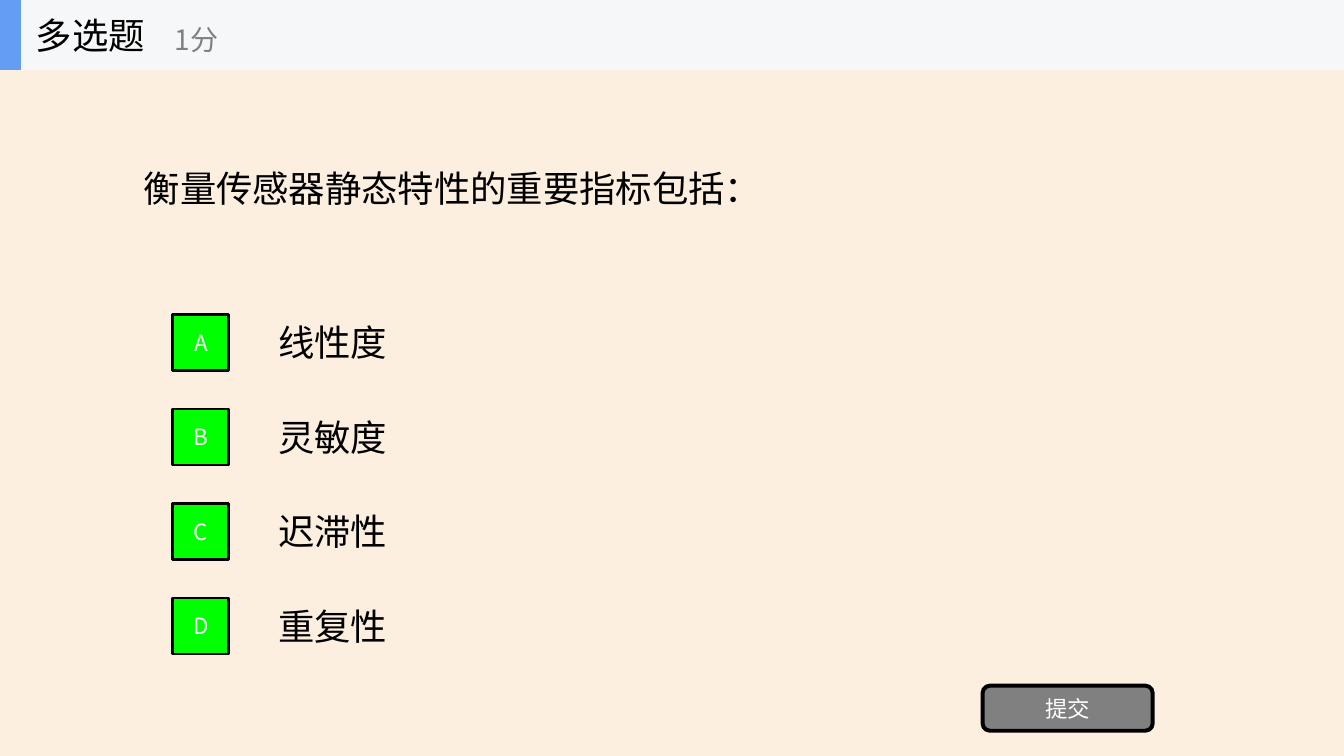
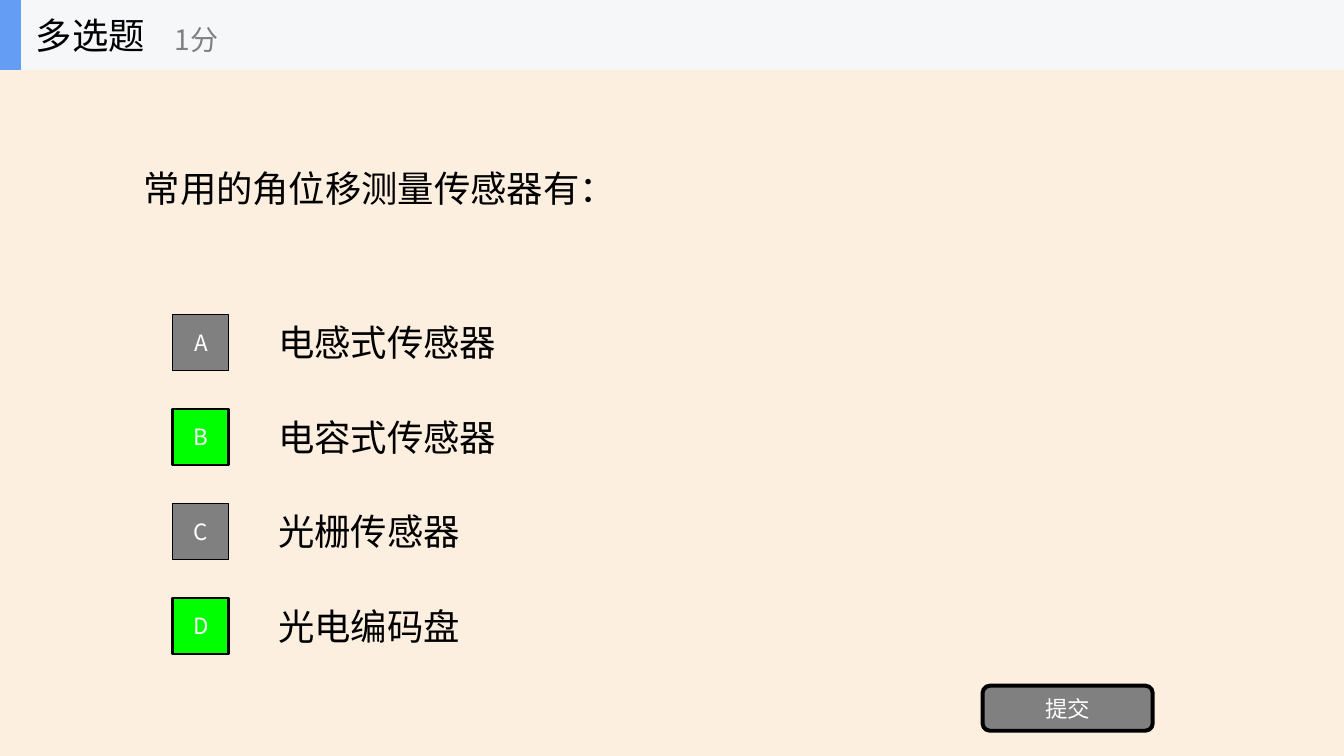
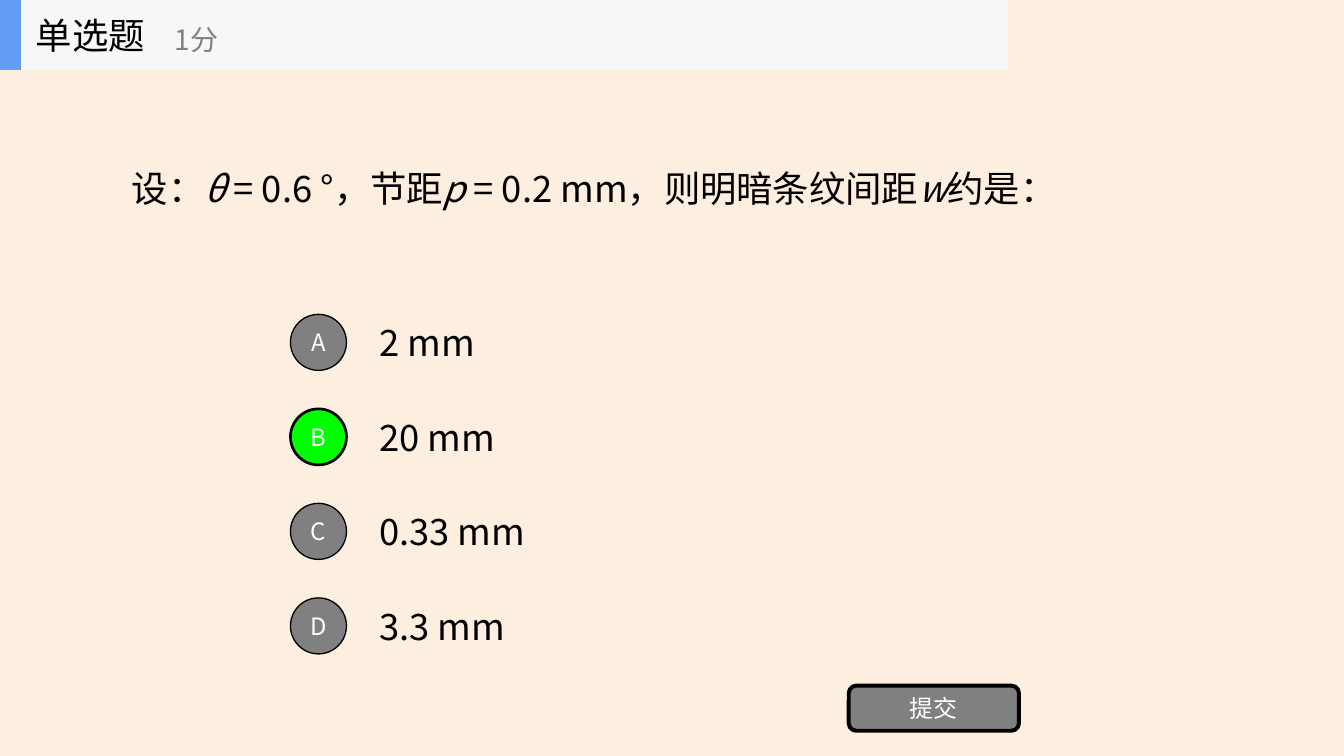
from dataclasses import dataclass

from lxml import etree
from pptx import Presentation
from pptx.dml.color import RGBColor
from pptx.enum import shapes, text
from pptx.oxml import ns
from pptx.util import Pt

# Shared style
FONT = "Noto Sans CJK SC"
PAPER, BAND, ACCENT = "FCEFE0", "F6F7F8", "639EF4"
BLACK, WHITE, GREY, GREEN = "000000", "FFFFFF", "808080", "00FF00"
BODY_SIZE, SCORE_SIZE = 27.4, 21.1
LEFT, CENTER = text.PP_ALIGN.LEFT, text.PP_ALIGN.CENTER
RECT = shapes.MSO_SHAPE.RECTANGLE
OVAL = shapes.MSO_SHAPE.OVAL
ROUNDED = shapes.MSO_SHAPE.ROUNDED_RECTANGLE

# Shared measures, in points
SLIDE_W, SLIDE_H = 1012.5, 569.5
BAND_H = 52.7
QUESTION_H = 178
FIRST_ROW, ROW_STEP, ROW_H = 231.2, 71.2, 53.4
BADGE = 42.2
SUBMIT_TOP, SUBMIT_W, SUBMIT_H = 516.5, 128.2, 34


@dataclass(frozen=True)
class Layout:
    """Horizontal places and badge style of one kind of question."""
    heading: str
    band_w: float
    question_x: float
    question_w: float
    badge_x: float
    badge_shape: shapes.MSO_SHAPE
    label_size: float
    option_x: float
    option_w: float
    submit_x: float


@dataclass(frozen=True)
class Question:
    layout: Layout
    wording: tuple[str, ...]  # upright and italic pieces in turn
    options: tuple[str, ...]
    correct: str


MULTIPLE = Layout("多选题", SLIDE_W, 101.2, 810, 130.2, RECT, 16.9, 202.5, 708.8, 740.2)
SINGLE = Layout("单选题", 759.4, 92.2, 749, 218.8, OVAL, 18, 278.6, 531.6, 639.4)

QUESTIONS = (
    Question(MULTIPLE, ("衡量传感器静态特性的重要指标包括：",),
             ("线性度", "灵敏度", "迟滞性", "重复性"), "ABCD"),
    Question(MULTIPLE, ("常用的角位移测量传感器有：",),
             ("电感式传感器", "电容式传感器", "光栅传感器", "光电编码盘"), "BD"),
    Question(SINGLE,
             ("设：", "θ ", "= 0.6 °，节距", "p ", "= 0.2 mm，则明暗条纹间距", "w", "约是："),
             ("2 mm", "20 mm", "0.33 mm", "3.3 mm"), "B"),
)


def rgb(code: str) -> RGBColor:
    return RGBColor.from_string(code)


def write(shape, pieces: tuple[str, ...], size: float, color: str, align=LEFT) -> None:
    """Fill a shape with one paragraph; every second piece is italic."""
    frame = shape.text_frame
    frame.word_wrap = True
    frame.vertical_anchor = text.MSO_ANCHOR.MIDDLE
    paragraph = frame.paragraphs[0]
    paragraph.alignment = align
    for index, piece in enumerate(pieces):
        run = paragraph.add_run()
        run.text = piece
        run.font.size = Pt(size)
        run.font.name = FONT
        run.font.italic = index % 2 == 1
        run.font.color.rgb = rgb(color)
        east_asian = etree.Element(ns.qn("a:ea"), typeface=FONT)
        run.font._element.find(ns.qn("a:latin")).addnext(east_asian)


def add_text(parent, x: float, y: float, w: float, h: float,
             pieces: tuple[str, ...], size: float = BODY_SIZE, color: str = BLACK) -> None:
    box = parent.shapes.add_textbox(Pt(x), Pt(y), Pt(w), Pt(h))
    write(box, pieces, size, color)


def add_block(parent, kind: shapes.MSO_SHAPE, x: float, y: float, w: float, h: float,
              fill: str, line_w: float = 0):
    block = parent.shapes.add_shape(kind, Pt(x), Pt(y), Pt(w), Pt(h))
    block.shadow.inherit = False
    block.fill.solid()
    block.fill.fore_color.rgb = rgb(fill)
    if line_w:
        block.line.color.rgb = rgb(BLACK)
        block.line.width = Pt(line_w)
    else:
        block.line.fill.background()
    return block


def add_option(slide, layout: Layout, row: int, option: str, correct: str) -> None:
    letter = "ABCD"[row]
    top = FIRST_ROW + row * ROW_STEP
    add_text(slide, layout.option_x, top, layout.option_w, ROW_H, (option,))
    fill, line_w = (GREEN, 2) if letter in correct else (GREY, 1)
    badge = add_block(slide, layout.badge_shape, layout.badge_x,
                      top + (ROW_H - BADGE) / 2, BADGE, BADGE, fill, line_w)
    write(badge, (letter,), layout.label_size, WHITE, CENTER)


def add_header(slide, layout: Layout) -> None:
    header = slide.shapes.add_group_shape()
    add_block(header, RECT, 0, 0, layout.band_w, BAND_H, BAND)
    add_block(header, RECT, 0, 0, 15.8, BAND_H, ACCENT)
    add_text(header, 20, 0, 158.4, BAND_H, (layout.heading,))
    add_text(header, 124.6, 8.6, 190, 42.5, ("1分",), SCORE_SIZE, GREY)


def add_question(deck, question: Question) -> None:
    layout = question.layout
    slide = deck.slides.add_slide(deck.slide_layouts[6])
    slide.background.fill.solid()
    slide.background.fill.fore_color.rgb = rgb(PAPER)

    # Question and options
    add_text(slide, layout.question_x, BAND_H, layout.question_w, QUESTION_H,
             question.wording)
    for row, option in enumerate(question.options):
        add_option(slide, layout, row, option, question.correct)

    # Submit button
    submit = add_block(slide, ROUNDED, layout.submit_x, SUBMIT_TOP,
                       SUBMIT_W, SUBMIT_H, GREY, 3)
    write(submit, ("提交",), layout.label_size, WHITE, CENTER)

    add_header(slide, layout)


def main() -> None:
    deck = Presentation()
    deck.slide_width, deck.slide_height = Pt(SLIDE_W), Pt(SLIDE_H)
    for question in QUESTIONS:
        add_question(deck, question)
    deck.save("out.pptx")


if __name__ == "__main__":
    main()
